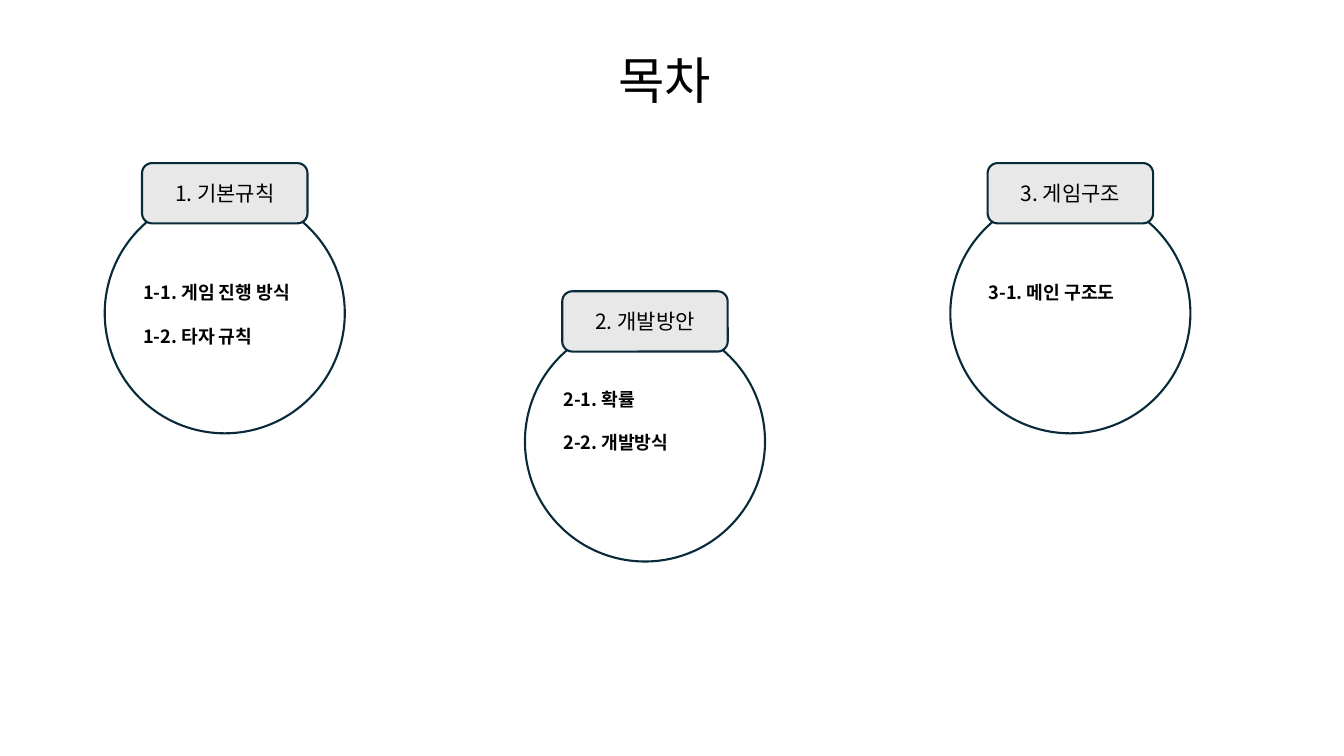
from dataclasses import dataclass

from lxml import etree
from pptx import Presentation
from pptx.dml.color import RGBColor
from pptx.enum.shapes import MSO_SHAPE as Shape
from pptx.enum.text import MSO_ANCHOR as Anchor, PP_ALIGN as Align
from pptx.oxml.ns import qn
from pptx.util import Cm, Pt


@dataclass(frozen=True)
class Theme:
    font: str = "Noto Sans CJK KR"
    ink: RGBColor = RGBColor(0x00, 0x00, 0x00)
    outline: RGBColor = RGBColor(0x09, 0x2A, 0x39)
    circle_fill: RGBColor = RGBColor(0xFF, 0xFF, 0xFF)
    label_fill: RGBColor = RGBColor(0xE8, 0xE8, 0xE8)
    outline_width: float = 1.5
    title_size: float = 36
    label_size: float = 15
    item_size: float = 13
    item_gap: float = 15.7


THEME = Theme()

# Section: left, top, text top within the section (cm), label, items
SECTIONS = [
    (2.64, 4.11, 2.85, "1. 기본규칙", ["1-1. 게임 진행 방식", "1-2. 타자 규칙"]),
    (13.23, 7.34, 2.31, "2. 개발방안", ["2-1. 확률", "2-2. 개발방식"]),
    (23.95, 4.11, 2.85, "3. 게임구조", ["3-1. 메인 구조도"]),
]
DIAMETER = 6.05
LABEL_WIDTH, LABEL_HEIGHT = 4.17, 1.52


def write(text_frame, lines, size, bold=False, align=Align.LEFT, gap=0):
    text_frame.word_wrap = True
    for index, line in enumerate(lines):
        paragraph = text_frame.paragraphs[0] if index == 0 else text_frame.add_paragraph()
        paragraph.text = line
        paragraph.alignment = align
        paragraph.space_before = Pt(gap if index else 0)
        font = paragraph.font
        font.name, font.size, font.bold = THEME.font, Pt(size), bold
        font.color.rgb = THEME.ink
        # Hangul takes the East Asian typeface
        properties = paragraph.runs[0].font
        properties.name = THEME.font
        east_asian = etree.SubElement(paragraph.runs[0]._r.rPr, qn("a:ea"))
        east_asian.set("typeface", THEME.font)


def add_outlined(shapes, kind, left, top, width, height, fill):
    shape = shapes.add_shape(kind, Cm(left), Cm(top), Cm(width), Cm(height))
    shape.shadow.inherit = False
    shape.fill.solid()
    shape.fill.fore_color.rgb = fill
    shape.line.color.rgb = THEME.outline
    shape.line.width = Pt(THEME.outline_width)
    return shape


def add_title(slide, left, top, width, height, text):
    box = slide.shapes.add_textbox(Cm(left), Cm(top), Cm(width), Cm(height))
    write(box.text_frame, [text], THEME.title_size)


def add_section(slide, left, top, text_top, label_text, items):
    # Circle with its label overlapping the top edge
    group = slide.shapes.add_group_shape()
    add_outlined(group.shapes, Shape.OVAL, left, top + LABEL_HEIGHT / 2,
                 DIAMETER, DIAMETER, THEME.circle_fill)
    label = add_outlined(group.shapes, Shape.ROUNDED_RECTANGLE,
                         left + (DIAMETER - LABEL_WIDTH) / 2, top,
                         LABEL_WIDTH, LABEL_HEIGHT, THEME.label_fill)
    label.text_frame.vertical_anchor = Anchor.MIDDLE
    write(label.text_frame, [label_text], THEME.label_size, align=Align.CENTER)

    # Items inside the circle
    height = 0.81 + 0.84 * 2 * (len(items) - 1)
    box = slide.shapes.add_textbox(Cm(left + 0.72), Cm(top + text_top), Cm(4.75), Cm(height))
    write(box.text_frame, items, THEME.item_size, bold=True, gap=THEME.item_gap)


def main():
    presentation = Presentation()
    presentation.slide_width, presentation.slide_height = Cm(33.87), Cm(19.05)
    slide = presentation.slides.add_slide(presentation.slide_layouts[6])
    add_title(slide, 15.34, 1.12, 3.73, 1.8, "목차")
    for section in SECTIONS:
        add_section(slide, *section)
    presentation.save("out.pptx")


if __name__ == "__main__":
    main()
